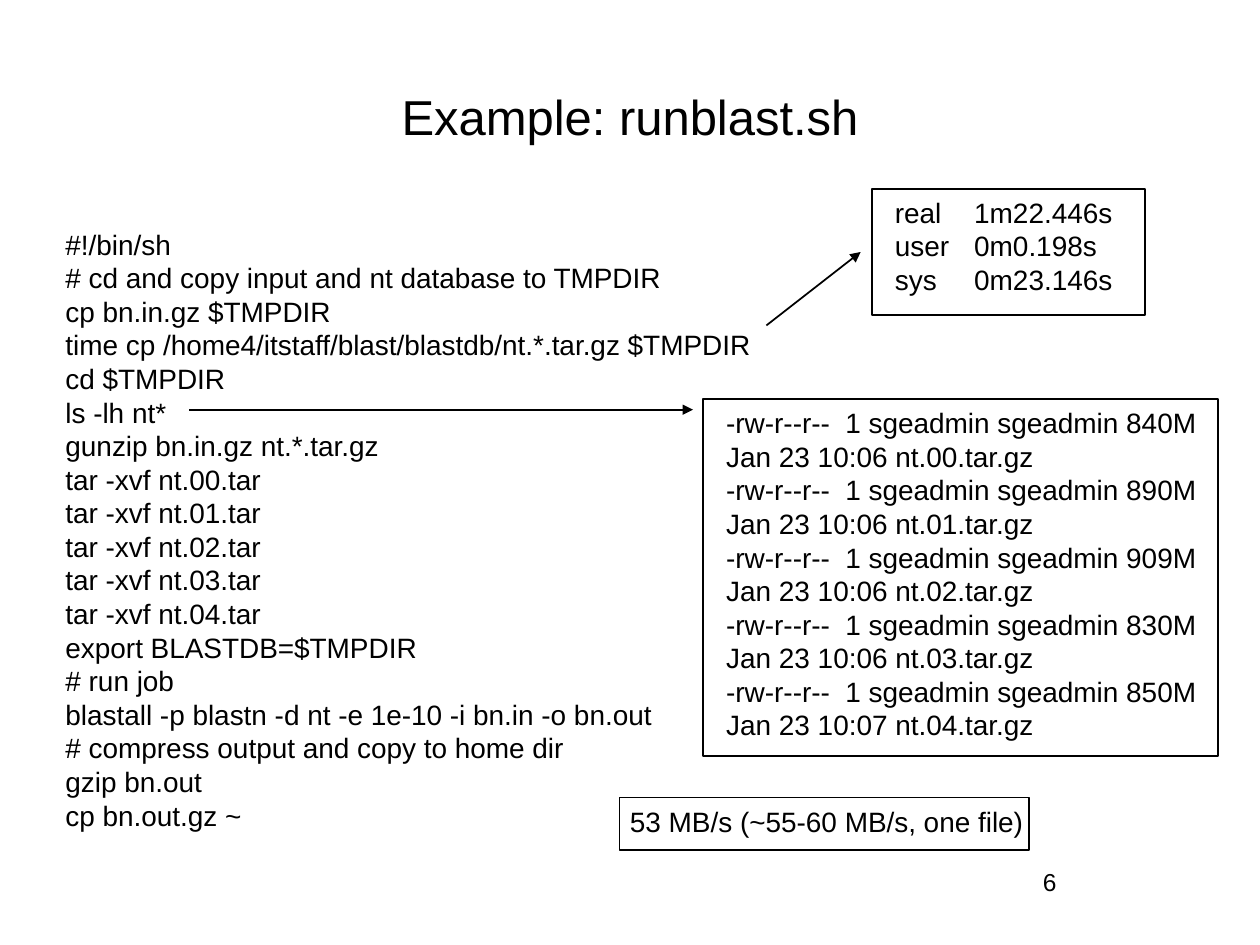
import pptx
import pptx.util
import pptx.dml.color
import pptx.enum.shapes
import pptx.enum.text
import pptx.oxml.ns
import lxml.etree
from pptx.util import Cm, Pt

COLORS = {"ink": "000000"}
FONT = "Arial"
PARTS = [f"{number:02d}" for number in range(5)]

# Content
TITLE = "Example: runblast.sh"
SCRIPT_LINES = [
    "#!/bin/sh",
    "# cd and copy input and nt database to TMPDIR",
    "cp bn.in.gz $TMPDIR",
    "time cp /home4/itstaff/blast/blastdb/nt.*.tar.gz $TMPDIR",
    "cd $TMPDIR",
    "ls -lh nt*",
    "gunzip bn.in.gz nt.*.tar.gz",
    *[f"tar -xvf nt.{part}.tar" for part in PARTS],
    "export BLASTDB=$TMPDIR",
    "# run job",
    "blastall -p blastn -d nt -e 1e-10 -i bn.in -o bn.out",
    "# compress output and copy to home dir",
    "gzip bn.out",
    "cp bn.out.gz ~",
]
TIMINGS = [("real", "1m22.446s"), ("user", "0m0.198s"), ("sys", "0m23.146s")]
FILES = [("840M", "10:06"), ("890M", "10:06"), ("909M", "10:06"),
         ("830M", "10:06"), ("850M", "10:07")]
RATE = "53 MB/s (~55-60 MB/s, one file)"
PAGE = "6"

TIMING_LINES = [f"{label}\t{value}" for label, value in TIMINGS]
LISTING_LINES = [
    f"-rw-r--r--  1 sgeadmin sgeadmin {size} Jan 23 {clock} nt.{part}.tar.gz"
    for part, (size, clock) in zip(PARTS, FILES)
]

# Places in cm: left, top, width, height
TITLE_AREA = (1.27, 0.25, 22.86, 4.19)
SCRIPT_AREA = (1.07, 4.45, 15.04, 12.45)
PAGE_AREA = (20.73, 17.35, 0.86, 0.84)
# Framed outputs: lines, area, left inset
OUTPUTS = [
    (TIMING_LINES, (17.58, 3.81, 5.5, 2.54), 0.46),
    (LISTING_LINES, (14.18, 8.05, 10.37, 7.19), 0.46),
    ([RATE], (12.49, 16.08, 8.26, 1.06), 0.21),
]
# Arrows from a command to its output: start, end
ARROWS = [((15.45, 6.56), (17.35, 5.08)), ((3.81, 8.26), (13.97, 8.26))]
TIMING_TAB = 1.6

ink = pptx.dml.color.RGBColor.from_string(COLORS["ink"])
ALIGN = pptx.enum.text.PP_ALIGN
ANCHOR = pptx.enum.text.MSO_ANCHOR


def write(shape, lines, size=16, align=ALIGN.LEFT, anchor=ANCHOR.TOP,
          left=0.25, right=0.25):
    frame = shape.text_frame
    frame.word_wrap = True
    frame.vertical_anchor = anchor
    frame.margin_left, frame.margin_right = Cm(left), Cm(right)
    frame.margin_top = frame.margin_bottom = Cm(0.13)
    frame.text = "\n".join(lines)
    for paragraph in frame.paragraphs:
        paragraph.alignment = align
        paragraph.font.name = FONT
        paragraph.font.size = Pt(size)
        paragraph.font.color.rgb = ink


def add_child(parent, tag, **attributes):
    return lxml.etree.SubElement(parent, pptx.oxml.ns.qn(tag), attributes)


presentation = pptx.Presentation()
presentation.slide_width, presentation.slide_height = Cm(25.4), Cm(19.05)
slide = presentation.slides.add_slide(presentation.slide_layouts[6])
shapes = slide.shapes

# Title, script and page number
title = shapes.add_textbox(*map(Cm, TITLE_AREA))
write(title, [TITLE], 28, ALIGN.CENTER, ANCHOR.MIDDLE)
script = shapes.add_textbox(*map(Cm, SCRIPT_AREA))
write(script, SCRIPT_LINES)
page = shapes.add_textbox(*map(Cm, PAGE_AREA))
write(page, [PAGE], 14, ALIGN.CENTER)

# Framed outputs
for lines, area, inset in OUTPUTS:
    output = shapes.add_shape(pptx.enum.shapes.MSO_SHAPE.RECTANGLE, *map(Cm, area))
    output.shadow.inherit = False
    output.fill.background()
    output.line.color.rgb = ink
    output.line.width = Pt(1)
    write(output, lines, left=inset, right=0)
    for paragraph in output.text_frame.paragraphs:
        if "\t" in paragraph.text:
            tabs = add_child(paragraph._p.get_or_add_pPr(), "a:tabLst")
            # Tab stops come before the default run properties
            paragraph._p.pPr.insert(0, tabs)
            add_child(tabs, "a:tab", pos=str(Cm(TIMING_TAB)), algn="l")

# Arrows
for start, end in ARROWS:
    arrow = shapes.add_connector(pptx.enum.shapes.MSO_CONNECTOR.STRAIGHT,
                                 *map(Cm, start + end))
    arrow.line.color.rgb = ink
    arrow.line.width = Pt(1)
    add_child(arrow.line._get_or_add_ln(), "a:tailEnd", type="triangle")
    add_child(arrow._element.spPr, "a:effectLst")

presentation.save("out.pptx")
